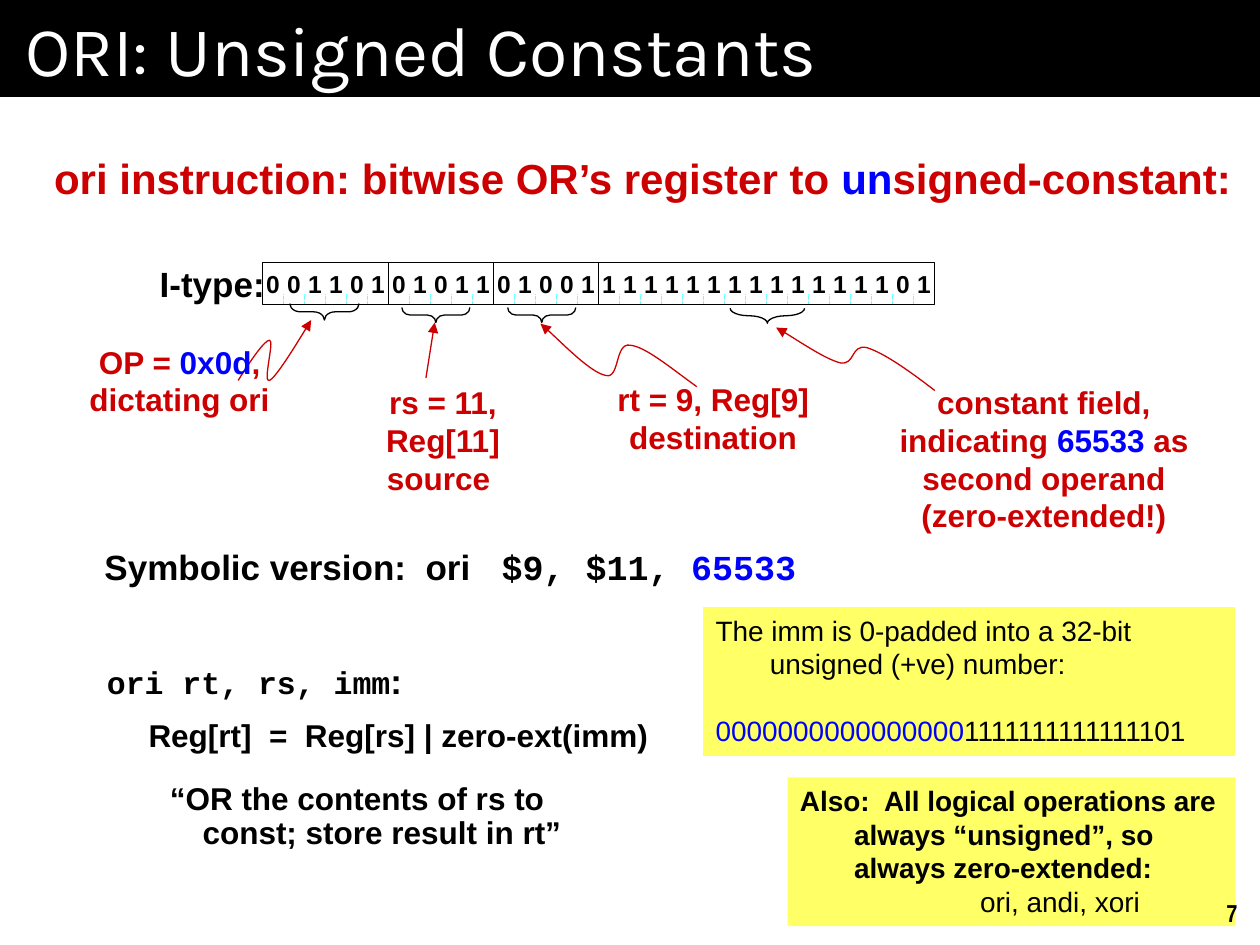
from lxml.etree import SubElement
from pptx import Presentation
from pptx.dml.color import RGBColor
from pptx.enum.dml import MSO_LINE
from pptx.enum.shapes import MSO_CONNECTOR, MSO_SHAPE
from pptx.enum.text import MSO_ANCHOR, MSO_AUTO_SIZE, PP_ALIGN
from pptx.oxml.ns import qn
from pptx.util import Pt

BLACK = RGBColor(0, 0, 0)
WHITE = RGBColor(255, 255, 255)
RED = RGBColor(0xCC, 0, 0)
BLUE = RGBColor(0, 0, 255)
YELLOW = RGBColor(255, 255, 0x66)
CYAN = RGBColor(0x66, 255, 255)

BIT_WIDTH, WORD_HEIGHT = 12, 24
FIELD_BITS = ["001101", "01011", "01001", "1111111111111101"]

CALLOUTS = [
    {"brace": (35.4, 28.2, 39.6, 9.4, 0.65), "label": (-110.4, 42.2, 126, 51),
     "text": [[("OP = ", {}), ("0x0d", {"color": BLUE}), (", dictating ori", {})]],
     "arrow": [(-13.9, 67.4), (-6.7, 55.9), (1.2, 44.4), (4.1, 44.4), (7, 44.4),
               (-0.2, 69.6), (4.1, 67.4), (7.7, 65.3), (17.8, 49.4), (27.8, 32.9)]},
    {"brace": (99.1, 30, 38.9, 8.6, 0.56), "label": (32.9, 65.3, 140.4, 72.7),
     "text": [[("rs = 11, Reg[11]", {})], [("source ", {})]],
     "arrow": [(93.4, 66), (98.4, 34.3)]},
    {"brace": (159.6, 30, 38.9, 8.6, 0.56), "label": (192, 63.8, 131, 50.4),
     "text": [[("rt = 9, Reg[9] destination", {})]],
     "arrow": [(248.2, 71), (232.3, 59.5), (218.6, 48), (210, 47.3), (201.4, 45.8),
               (204.2, 66.7), (196.3, 64.6), (187.7, 63.1), (166.8, 41.5), (158.9, 35)]},
    {"brace": (288.5, 30.4, 42.5, 8.6, 1.88), "label": (353.3, 65.3, 186.5, 94.3),
     "text": [[("constant field, indicating ", {}), ("65533", {"color": BLUE}),
               (" as second operand", {})], [("(zero-extended!)", {})]],
     "arrow": [(384.2, 73.2), (368.4, 61), (354.7, 51.6), (345.4, 48.7), (336, 46.6),
               (338.9, 58.8), (330.2, 57.4), (321.6, 55.2), (301.4, 41.5), (293.5, 37.2)]},
]


def points(values):
    """Turn plain numbers into point lengths."""
    return [Pt(value) for value in values]


def add_span(para, text, size=18, font="Arial", color=BLACK, bold=True):
    """Add one formatted run to a paragraph."""
    span = para.add_run()
    span.text = text
    span.font.size = Pt(size)
    span.font.name = font
    span.font.bold = bold
    span.font.color.rgb = color


def fill_text(frame, paragraphs, align=PP_ALIGN.LEFT, wrap=True, spacing=None, hang=0, **style):
    """Write paragraphs of (text, style) spans into a text frame."""
    frame.word_wrap = wrap
    frame.auto_size = MSO_AUTO_SIZE.SHAPE_TO_FIT_TEXT
    for index, spans in enumerate(paragraphs):
        para = frame.paragraphs[0] if index == 0 else frame.add_paragraph()
        para.alignment = align
        if spacing:
            para.line_spacing = spacing
        if hang:
            properties = para._p.get_or_add_pPr()
            properties.set("marL", str(Pt(hang)))
            properties.set("indent", str(-Pt(hang)))
        for text, changes in spans:
            add_span(para, text, **{**style, **changes})


def add_text(page, box, paragraphs, **options):
    """Add a text box with its paragraphs."""
    fill_text(page.shapes.add_textbox(*points(box)).text_frame, paragraphs, **options)


def add_line(page, start, end, color, width):
    """Add a straight line without a shadow."""
    line = page.shapes.add_connector(MSO_CONNECTOR.STRAIGHT, *points(start + end))
    SubElement(line._element.spPr, qn("a:effectLst"))
    line.line.color.rgb = color
    line.line.width = Pt(width)
    return line


def add_curve(page, controls):
    """Add an open outline of cubic curves through its control points."""
    first, *others = [tuple(points(control)) for control in controls]
    builder = page.shapes.build_freeform(*first)
    builder.add_line_segments(others, close=False)
    curve = builder.convert_to_shape()
    curve.shadow.inherit = False
    curve.fill.background()
    curve.line.color.rgb = RED
    curve.line.width = Pt(0.75)
    segments = list(curve._element.iter(qn("a:lnTo")))
    outline = segments[0].getparent()
    for index in range(0, len(segments), 3):
        cubic = SubElement(outline, qn("a:cubicBezTo"))
        for segment in segments[index:index + 3]:
            cubic.append(segment[0])
            outline.remove(segment)
    return curve


def add_callout(page, left, top, callout):
    """Add the brace, arrow and label that explain one field."""
    x, y, length, depth, bend = callout["brace"]
    brace = page.shapes.add_shape(MSO_SHAPE.LEFT_BRACE, *points(
        (left + x - depth / 2, top + y - length / 2, depth, length)))
    brace.rotation = 270
    brace.adjustments[0] = bend
    brace.shadow.inherit = False
    brace.fill.background()
    brace.line.color.rgb = BLACK
    brace.line.width = Pt(0.75)
    controls = [(left + dx, top + dy) for dx, dy in callout["arrow"]]
    if len(controls) == 2:
        arrow = add_line(page, *controls, RED, 0.75)
    else:
        arrow = add_curve(page, controls)
    SubElement(arrow.line._get_or_add_ln(), qn("a:tailEnd"), type="triangle")
    x, y, width, height = callout["label"]
    add_text(page, (left + x, top + y, width, height), callout["text"],
             align=PP_ALIGN.CENTER, color=RED)


def add_instruction_word(page, left, top):
    """Draw the 32-bit word with its ticks, fields, digits and callouts."""
    bits = "".join(FIELD_BITS)
    bottom = top + WORD_HEIGHT
    for index in range(1, len(bits)):
        x = left + index * BIT_WIDTH
        add_line(page, (x, bottom), (x, bottom - 6), CYAN, 0.25).line.dash_style = MSO_LINE.LONG_DASH
    frame = page.shapes.add_shape(MSO_SHAPE.RECTANGLE, *points(
        (left, top, len(bits) * BIT_WIDTH, WORD_HEIGHT)))
    frame.shadow.inherit = False
    frame.fill.background()
    frame.line.color.rgb = BLACK
    frame.line.width = Pt(1)
    x = left
    for field in FIELD_BITS[:-1]:
        x += len(field) * BIT_WIDTH
        add_line(page, (x, top), (x, bottom), BLACK, 0.75)
    for index, bit in enumerate(bits):
        add_text(page, (left + index * BIT_WIDTH - 5, top, 22, WORD_HEIGHT), [[(bit, {})]],
                 align=PP_ALIGN.CENTER, wrap=False, size=14)
    add_text(page, (left - 65.8, top - 3.8, 75, 31.5), [[("I-type:", {})]], wrap=False, size=20)
    for callout in CALLOUTS:
        add_callout(page, left, top, callout)


def add_note(page, box, paragraphs, **style):
    """Add a yellow note with hanging indents and return its frame."""
    note = page.shapes.add_shape(MSO_SHAPE.RECTANGLE, *points(box))
    note.shadow.inherit = False
    note.fill.solid()
    note.fill.fore_color.rgb = YELLOW
    note.line.fill.background()
    note.text_frame.vertical_anchor = MSO_ANCHOR.TOP
    fill_text(note.text_frame, paragraphs, hang=31, size=16, **style)
    return note.text_frame


def add_title(page, box):
    """Format the title placeholder as a black band."""
    title = page.shapes.title
    title.left, title.top, title.width, title.height = points(box)
    title.fill.solid()
    title.fill.fore_color.rgb = BLACK
    frame = title.text_frame
    fill_text(frame, [[("ORI: Unsigned Constants", {})]],
              size=40, font="Karla", color=WHITE, bold=False)
    frame.auto_size = MSO_AUTO_SIZE.NONE
    frame.vertical_anchor = MSO_ANCHOR.MIDDLE
    frame.margin_left = frame.margin_right = Pt(14.4)


def add_statements(page):
    """Add the heading, the symbolic version and the meaning of ori."""
    code = {"font": "Courier New"}
    add_text(page, (23.8, 87.1, 713.5, 33.8), [[
        ("ori instruction: bitwise OR’s register to ", {}), ("un", {"color": BLUE}),
        ("signed-constant:", {})]], wrap=False, spacing=0.9, size=24, color=RED)
    add_text(page, (52.6, 311, 613.4, 29.5), [[
        ("Symbolic version:  ori ", {}), (" $9, $11, ", code),
        ("65533", {**code, "color": BLUE})]], spacing=0.9, size=20)
    add_text(page, (54, 375.8, 185, 29.5), [[("ori rt, rs, imm", code), (":", {"size": 20})]],
             wrap=False, spacing=0.9)
    add_text(page, (77.8, 408.2, 307.4, 27.4), [[("Reg[rt]  =  Reg[rs] | zero-ext(imm)", {})]],
             wrap=False, spacing=0.9)
    add_text(page, (90, 444.2, 269.3, 46.8), [[
        ("“OR the contents of rs to const; store result in rt”", {})]], spacing=0.9, hang=18.7)


def add_notes(page):
    """Add the two yellow notes on zero extension."""
    padding = add_note(page, (401.8, 347, 303.8, 85), [
        [("The imm is 0-padded into a 32-bit unsigned (+ve) number:", {})],
        [("0000000000000000", {"color": BLUE}), ("1111111111111101", {})]], bold=False)
    padding.paragraphs[1].space_before = Pt(19)
    logical = add_note(page, (450, 444.2, 256, 85), [
        [("Also:  All logical operations are always “unsigned”, so always zero-extended:", {})],
        [("ori, andi, xori", {"bold": False})]])
    properties = logical.paragraphs[1]._p.get_or_add_pPr()
    properties.set("marL", str(Pt(103)))
    properties.set("indent", "0")


def main():
    """Build and save the deck."""
    deck = Presentation()
    deck.slide_width, deck.slide_height = Pt(720), Pt(540)
    page = deck.slides.add_slide(deck.slide_layouts[5])
    add_title(page, (0, 0, 720, 55.4))
    add_statements(page)
    add_instruction_word(page, 150, 150)
    add_notes(page)
    add_text(page, (684, 509.8, 30.2, 23.8), [[("7", {})]],
             align=PP_ALIGN.RIGHT, size=14, font="Arial Narrow")
    deck.save("out.pptx")


if __name__ == "__main__":
    main()
